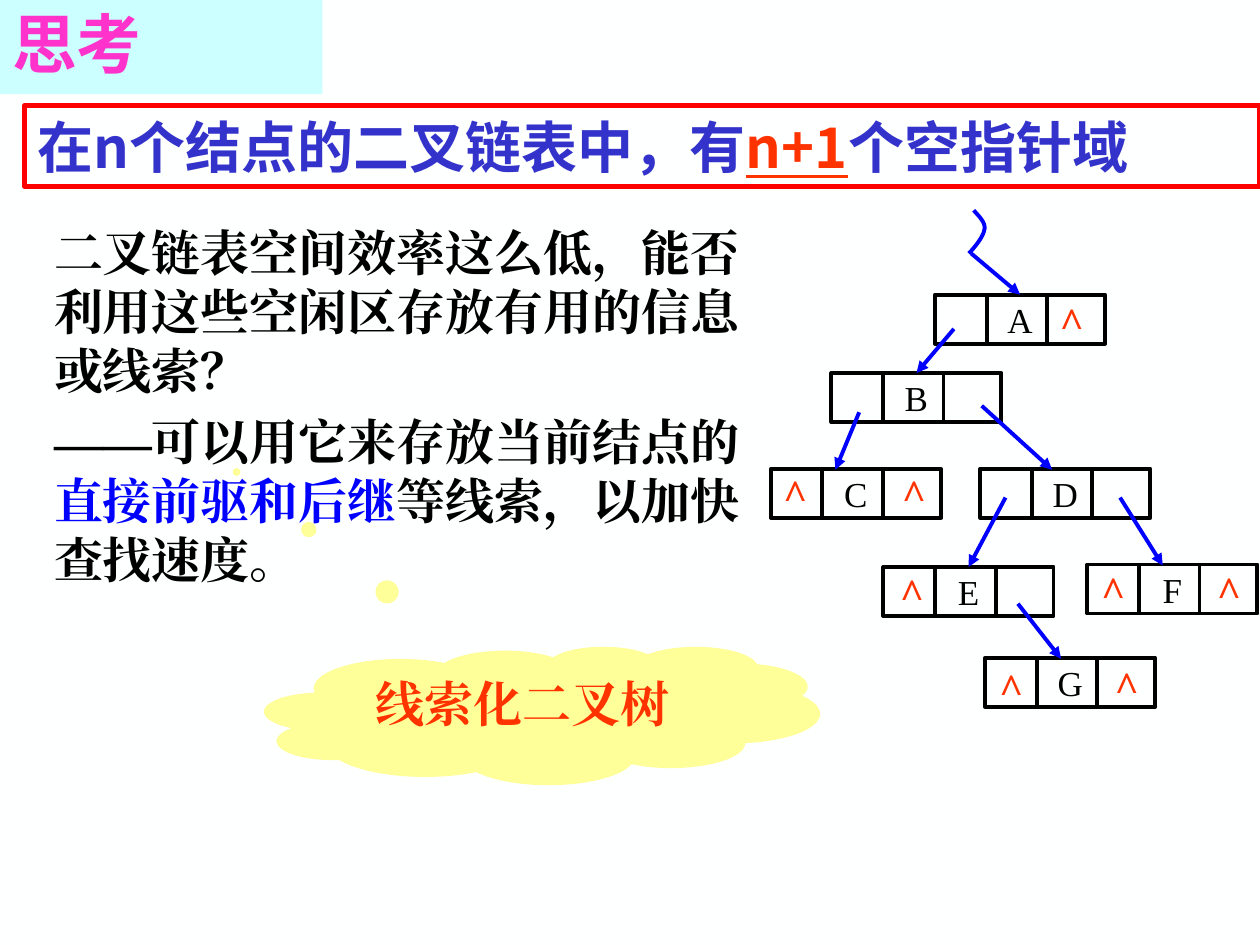
from dataclasses import dataclass

from lxml import etree
from pptx import Presentation
from pptx.dml.color import RGBColor
from pptx.enum.shapes import MSO_CONNECTOR, MSO_SHAPE
from pptx.enum.text import MSO_ANCHOR, MSO_AUTO_SIZE, PP_ALIGN
from pptx.oxml.ns import qn
from pptx.util import Cm, Pt

STRAIGHT = MSO_CONNECTOR.STRAIGHT
RECTANGLE, CLOUD = MSO_SHAPE.RECTANGLE, MSO_SHAPE.CLOUD_CALLOUT
TOP, MIDDLE = MSO_ANCHOR.TOP, MSO_ANCHOR.MIDDLE
LEFT, CENTER = PP_ALIGN.LEFT, PP_ALIGN.CENTER
GROW = MSO_AUTO_SIZE.SHAPE_TO_FIT_TEXT
SERIF, SANS = "Times New Roman", "Noto Sans CJK SC"
BLACK, BLUE, ORANGE, INDIGO = "000000", "0000FF", "FF3300", "3333CC"
NODE_WIDTH, NODE_HEIGHT = 3.43, 0.99
DIVIDERS = (1.04, 2.26)
CARET_WIDTH, CARET_HEIGHT = 0.99, 1.27
LINE_WIDTH = 2.25
CURVE_STEPS = 10


@dataclass(frozen=True)
class Span:
    text: str
    size: float
    color: str
    font: str = SERIF
    bold: bool = True
    underline: bool = False


@dataclass(frozen=True)
class Node:
    label: str
    left: float
    top: float
    carets: tuple = ()


@dataclass(frozen=True)
class Pointer:
    start: tuple
    end: tuple
    joined: str = ""


NODES = (
    Node("A", 18.85, 5.94, ((2.26, -0.1),)),
    Node("B", 16.76, 7.52),
    Node("C", 15.54, 9.45, ((0, -0.15), (2.39, -0.15))),
    Node("D", 19.76, 9.45),
    Node("E", 17.81, 11.43, ((0.08, -0.13),)),
    Node("F", 21.92, 11.38, ((0.03, -0.13), (2.36, -0.13))),
    Node("G", 19.86, 13.26, ((0.03, -0.05), (2.36, -0.1))),
)
POINTERS = (
    Pointer((19.23, 6.63), (18.59, 7.54), "B"),
    Pointer((17.32, 8.31), (16.84, 9.47)),
    Pointer((19.79, 8.18), (21.21, 9.47)),
    Pointer((20.27, 10.03), (19.48, 11.4), "E"),
    Pointer((22.58, 10.03), (23.44, 11.4)),
    Pointer((20.52, 12.17), (21.39, 13.28)),
    Pointer((19.58, 5.11), (20.47, 5.94), "A"),
)
ROOT_CURVES = (
    ((19.63, 4.24), (19.74, 4.37), (19.89, 4.5), (19.84, 4.65)),
    ((19.84, 4.65), (19.81, 4.8), (19.61, 5.03), (19.53, 5.11)),
)


def paint(fill, color: str) -> None:
    """Make a fill solid in a hex colour."""
    fill.solid()
    fill.fore_color.rgb = RGBColor.from_string(color)


def stroke(line, color: str, width: float) -> None:
    """Give an outline its colour and width."""
    paint(line.fill, color)
    line.width = Pt(width)


def write(box, paragraphs, align=LEFT, anchor=MIDDLE, wrap=True, before=0) -> None:
    """Fill a shape with paragraphs, run by run."""
    frame = box.text_frame
    frame.word_wrap = wrap
    frame.vertical_anchor = anchor
    for index, spans in enumerate(paragraphs):
        para = frame.add_paragraph() if index else frame.paragraphs[0]
        para.alignment = align
        para.space_before = Pt(before)
        for span in spans:
            run = para.add_run()
            run.text = span.text
            run.font.size = Pt(span.size)
            run.font.bold = span.bold
            run.font.underline = span.underline
            run.font.name = span.font
            paint(run.font.fill, span.color)
            properties = run.font._element
            properties.set("lang", "zh-CN")
            latin = properties.find(qn("a:latin"))
            east = etree.Element(qn("a:ea"), typeface=span.font)
            latin.addnext(east)


def add_block(page, kind, left, top, width, height, fill="", line="", weight=LINE_WIDTH):
    """Add a preset shape with an optional fill and outline."""
    block = page.shapes.add_shape(kind, Cm(left), Cm(top), Cm(width), Cm(height))
    block.shadow.inherit = False
    if fill:
        paint(block.fill, fill)
    else:
        block.fill.background()
    if line:
        stroke(block.line, line, weight)
    else:
        block.line.fill.background()
    return block


def add_line(page, start: tuple, end: tuple, color: str, arrow: bool = False):
    """Draw a straight connector, with an arrowhead if asked."""
    line = page.shapes.add_connector(STRAIGHT, *map(Cm, start + end))
    stroke(line.line, color, LINE_WIDTH)
    properties = line._element.spPr
    if arrow:
        etree.SubElement(properties.find(qn("a:ln")), qn("a:tailEnd"), type="triangle")
    etree.SubElement(properties, qn("a:effectLst"))
    return line


def add_text(page, left, top, width, height, paragraphs, **layout):
    """Add a text box that grows with its text."""
    box = page.shapes.add_textbox(Cm(left), Cm(top), Cm(width), Cm(height))
    write(box, paragraphs, **layout)
    box.text_frame.auto_size = GROW
    return box


def add_node(page, node: Node):
    """Draw a three-field list node and return its rectangle."""
    box = add_block(page, RECTANGLE, node.left, node.top, NODE_WIDTH, NODE_HEIGHT, line=BLACK)
    write(box, [[Span(node.label, 20, BLACK, bold=False)]], align=CENTER, wrap=False)
    for offset in DIVIDERS:
        x = node.left + offset
        add_line(page, (x, node.top), (x, node.top + NODE_HEIGHT), BLACK)
    return box


def bezier(points: tuple, t: float) -> tuple:
    """Return the point at t on a cubic curve."""
    weights = ((1 - t) ** 3, 3 * t * (1 - t) ** 2, 3 * t * t * (1 - t), t**3)
    return tuple(Cm(sum(w * p[axis] for w, p in zip(weights, points))) for axis in (0, 1))


def add_root_curve(page) -> None:
    """Draw the bent start of the root pointer."""
    points = [bezier(curve, step / CURVE_STEPS) for curve in ROOT_CURVES for step in range(CURVE_STEPS + 1)]
    builder = page.shapes.build_freeform(*points[0], scale=1.0)
    builder.add_line_segments(points[1:], close=False)
    curve = builder.convert_to_shape()
    curve.shadow.inherit = False
    curve.fill.background()
    stroke(curve.line, BLUE, LINE_WIDTH)


def add_tree(page) -> None:
    """Draw the linked binary tree."""
    boxes = {node.label: add_node(page, node) for node in NODES}
    for pointer in POINTERS:
        line = add_line(page, pointer.start, pointer.end, BLUE, arrow=True)
        if pointer.joined:
            line.end_connect(boxes[pointer.joined], 0)
    add_root_curve(page)
    for node in NODES:
        for dx, dy in node.carets:
            add_text(page, node.left + dx, node.top + dy, CARET_WIDTH, CARET_HEIGHT,
                     [[Span("^", 24, ORANGE)]], align=CENTER, wrap=False)


def main() -> None:
    """Build the slide and save it."""
    deck = Presentation()
    deck.slide_width, deck.slide_height = Cm(25.4), Cm(19.05)
    page = deck.slides.add_slide(deck.slide_layouts[6])
    paint(page.background.fill, "FEFFFF")
    add_text(page, 0.84, 4.37, 14.68, 7.62, [
        [Span("二叉链表空间效率这么低，能否利用这些空闲区存放有用的信息或线索？", 28, BLACK)],
        [Span("——可以用它来存放当前结点的", 28, BLACK), Span("直接前驱和后继", 28, BLUE),
         Span("等线索，以加快查找速度。", 28, BLACK)],
    ], anchor=TOP, before=7)
    title = add_block(page, RECTANGLE, 0, 0, 6.5, 1.9, fill="CCFFFF")
    write(title, [[Span("思考", 37, "FF33CC", SANS)]])
    title.text_frame.paragraphs[0].line_spacing = 0.9
    cloud = add_block(page, CLOUD, 5.33, 13.03, 11.2, 2.79, fill="FFFF99")
    cloud.adjustments[0], cloud.adjustments[1] = -0.55, -1.76
    write(cloud, [[Span("线索化二叉树", 28, ORANGE)]], align=CENTER, anchor=TOP, before=7)
    claim = add_block(page, RECTANGLE, 0.5, 2.13, 24.9, 1.63, line="FF0000", weight=3)
    write(claim, [[Span("在n个结点的二叉链表中，有", 32, INDIGO, SANS),
                   Span("n+1", 32, ORANGE, SANS, underline=True),
                   Span("个空指针域", 32, INDIGO, SANS)]])
    add_tree(page)
    deck.save("out.pptx")


if __name__ == "__main__":
    main()
